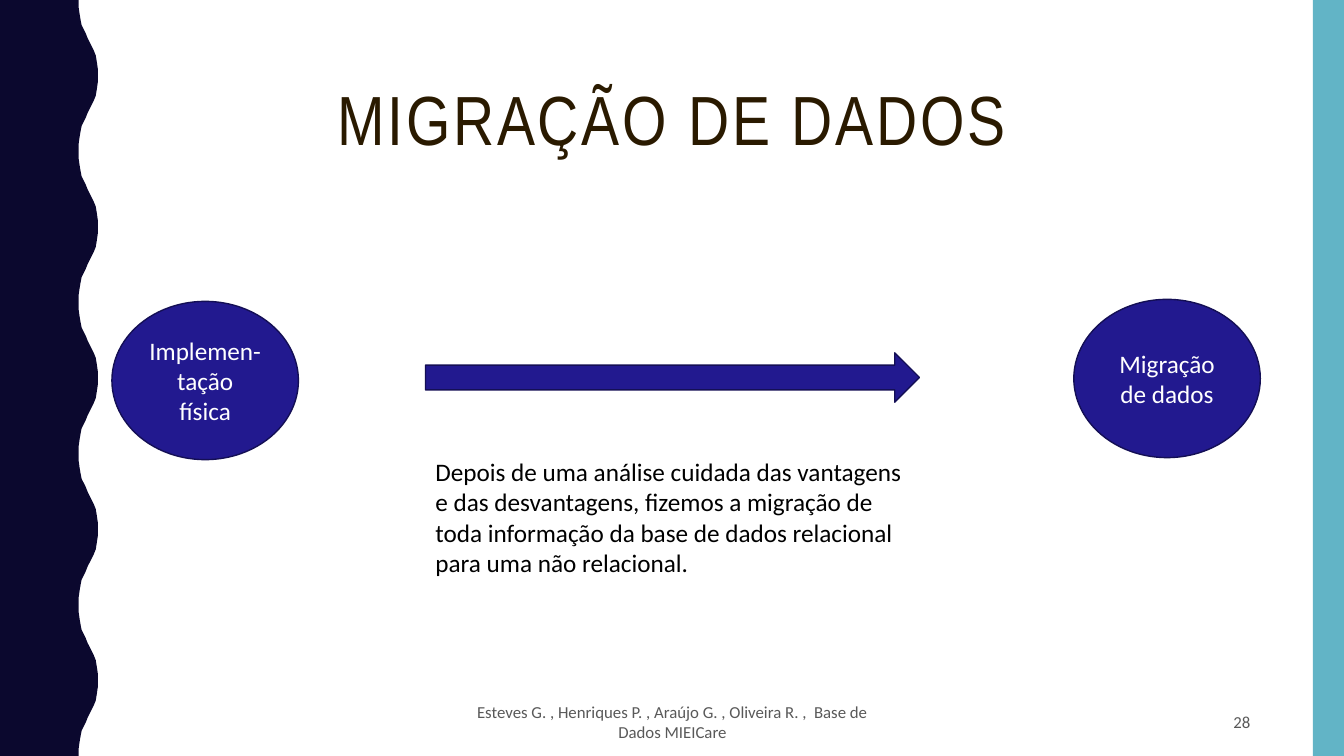
from dataclasses import dataclass

from pptx import Presentation
from pptx import util as u
from pptx.dml.color import RGBColor
from pptx.enum import shapes, text

ALIGN = text.PP_ALIGN
ANCHOR = text.MSO_ANCHOR
FIT = text.MSO_AUTO_SIZE
SHAPE = shapes.MSO_SHAPE


@dataclass(frozen=True)
class Theme:
    """Colours, fonts and type sizes of the slide."""
    navy: str = "0B082E"
    teal: str = "62B4C6"
    blue: str = "22198F"
    edge: str = "140F55"
    brown: str = "2A1A00"
    grey: str = "595959"
    black: str = "000000"
    white: str = "FFFFFF"
    head: str = "Arial Narrow"
    body: str = "Calibri"
    title: float = 49.7
    main: float = 18
    small: float = 12


class Deck:
    """Holds the theme and the current slide."""

    def __init__(self, theme):
        """Start a deck with one title-only slide."""
        self.theme = theme
        self.prs = Presentation()
        self.prs.slide_width = u.Inches(13.33)
        self.prs.slide_height = u.Inches(7.5)
        self.slide = self.prs.slides.add_slide(self.prs.slide_layouts[5])

    def paint(self, shape, fill, line=None):
        """Set the fill and outline of a shape."""
        shape.shadow.inherit = False
        shape.fill.solid()
        shape.fill.fore_color.rgb = RGBColor.from_string(fill)
        if line:
            shape.line.color.rgb = RGBColor.from_string(line)
            shape.line.width = u.Pt(1)
        else:
            shape.line.fill.background()

    def letter(self, shape, words, size, color, font=None,
               align=ALIGN.CENTER, anchor=ANCHOR.MIDDLE, fit=FIT.NONE):
        """Put one formatted paragraph in a shape and return it."""
        frame = shape.text_frame
        frame.text = words
        para = frame.paragraphs[0]
        face = para.runs[0].font
        face.color.rgb = RGBColor.from_string(color)
        looks = (
            (frame, {"word_wrap": True, "auto_size": fit,
                     "vertical_anchor": anchor}),
            (para, {"alignment": align}),
            (face, {"name": font or self.theme.body, "size": u.Pt(size)}),
        )
        for item, look in looks:
            for key, value in look.items():
                setattr(item, key, value)
        return para

    def title(self, words, *box):
        """Place and format the title."""
        shape = self.slide.shapes.title
        for key, value in zip(("left", "top", "width", "height"), box):
            setattr(shape, key, u.Inches(value))
        para = self.letter(shape, words, self.theme.title, self.theme.brown,
                           self.theme.head, anchor=ANCHOR.BOTTOM)
        para.line_spacing = 0.9
        para.runs[0]._r.get_or_add_rPr().set("spc", "200")

    def shape(self, kind, box, fill, line=None):
        """Add a preset shape."""
        shape = self.slide.shapes.add_shape(kind, *map(u.Inches, box))
        self.paint(shape, fill, line)
        return shape

    def stage(self, words, left, top):
        """Add an ellipse for one stage."""
        oval = self.shape(SHAPE.OVAL, (left, top, 1.85, 1.57),
                          self.theme.blue, self.theme.edge)
        self.letter(oval, words, self.theme.main, self.theme.white)

    def label(self, words, box, size, color, **look):
        """Add a text box."""
        shape = self.slide.shapes.add_textbox(*map(u.Inches, box))
        self.letter(shape, words, size, color, **look)

    def wave(self, count, pitch, fill):
        """Add the side band with a wavy right edge."""
        half = [(0.78, 0), (0.78, 0.07), (0.79, 0.14), (0.8, 0.2),
                (0.81, 0.25), (0.83, 0.29), (0.85, 0.33), (0.87, 0.38),
                (0.89, 0.42), (0.91, 0.46), (0.93, 0.5), (0.95, 0.55),
                (0.96, 0.61), (0.97, 0.68), (0.97, 0.75)]
        crest = half + [(x, pitch - y) for x, y in half[-2::-1]]
        edge = [(x, y + i * pitch) for i in range(count) for x, y in crest]
        points = edge + [(0, count * pitch)]
        pen = self.slide.shapes.build_freeform(0, 0)
        pen.add_line_segments([(u.Inches(x), u.Inches(y)) for x, y in points])
        self.paint(pen.convert_to_shape(), fill)


def main():
    """Build and save the slide."""
    theme = Theme()
    deck = Deck(theme)
    deck.wave(5, 1.5, theme.navy)
    deck.shape(SHAPE.RECTANGLE, (13.02, 0, 0.31, 7.5), theme.teal)
    deck.title("MIGRAÇÃO DE DADOS", 0.83, 0.42, 11.67, 1.22)
    deck.stage("Implemen-tação física", 1.11, 2.99)
    deck.shape(SHAPE.RIGHT_ARROW, (4.22, 3.5, 4.9, 0.49),
               theme.blue, theme.edge)
    deck.stage("Migração de dados", 10.65, 2.97)
    deck.label("Depois de uma análise cuidada das vantagens e das "
               "desvantagens, fizemos a migração de toda informação da base "
               "de dados relacional para uma não relacional.",
               (4.22, 4.48, 4.9, 1.31), theme.main, theme.black,
               align=ALIGN.LEFT, anchor=ANCHOR.TOP, fit=FIT.SHAPE_TO_FIT_TEXT)
    deck.label("Esteves G. , Henriques P. , Araújo G. , Oliveira R. ,  "
               "Base de Dados MIEICare",
               (4.42, 6.97, 4.5, 0.38), theme.small, theme.grey)
    deck.label("28", (9.42, 6.97, 3.08, 0.38), theme.small, theme.grey,
               align=ALIGN.RIGHT)
    deck.prs.save("out.pptx")


if __name__ == "__main__":
    main()
